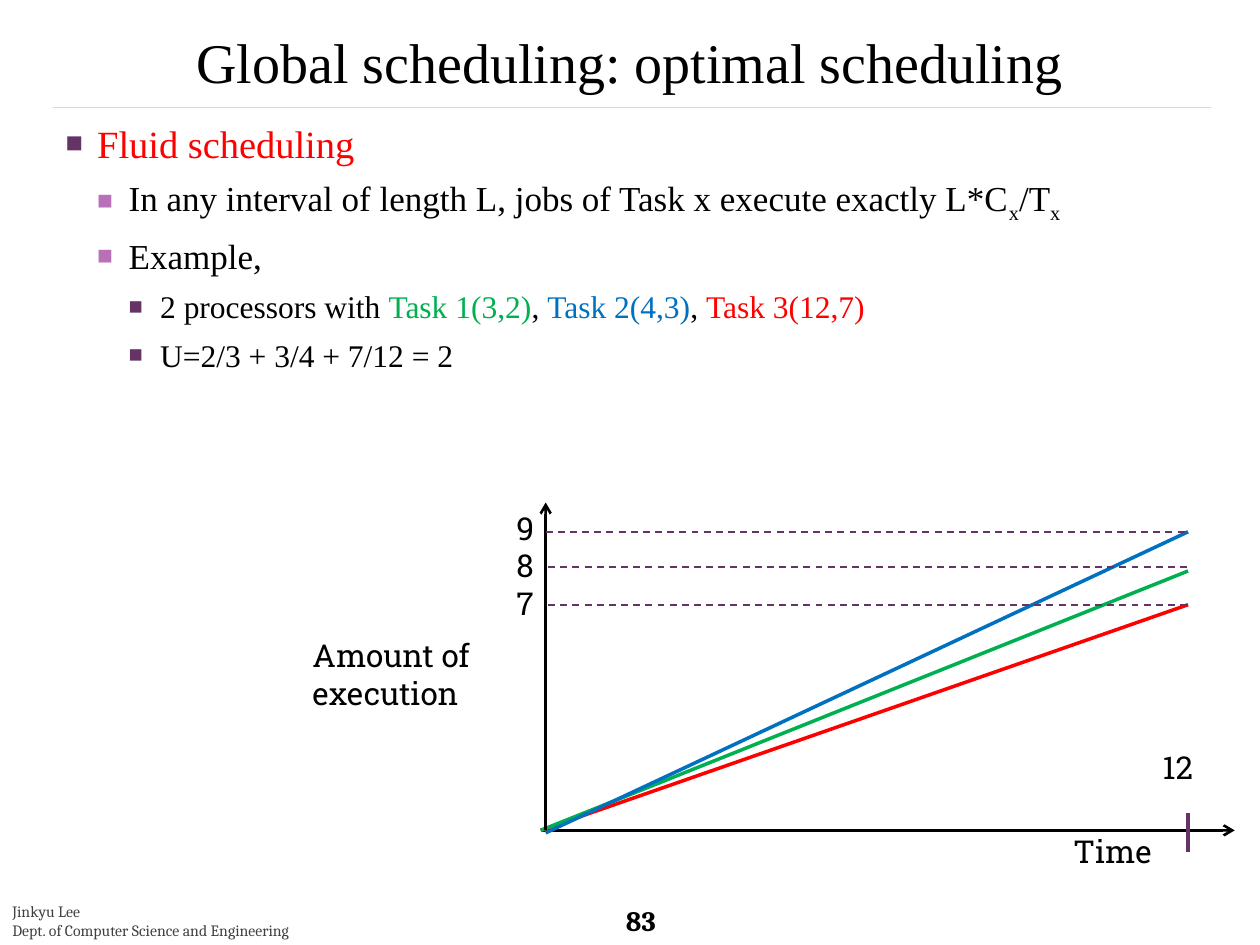
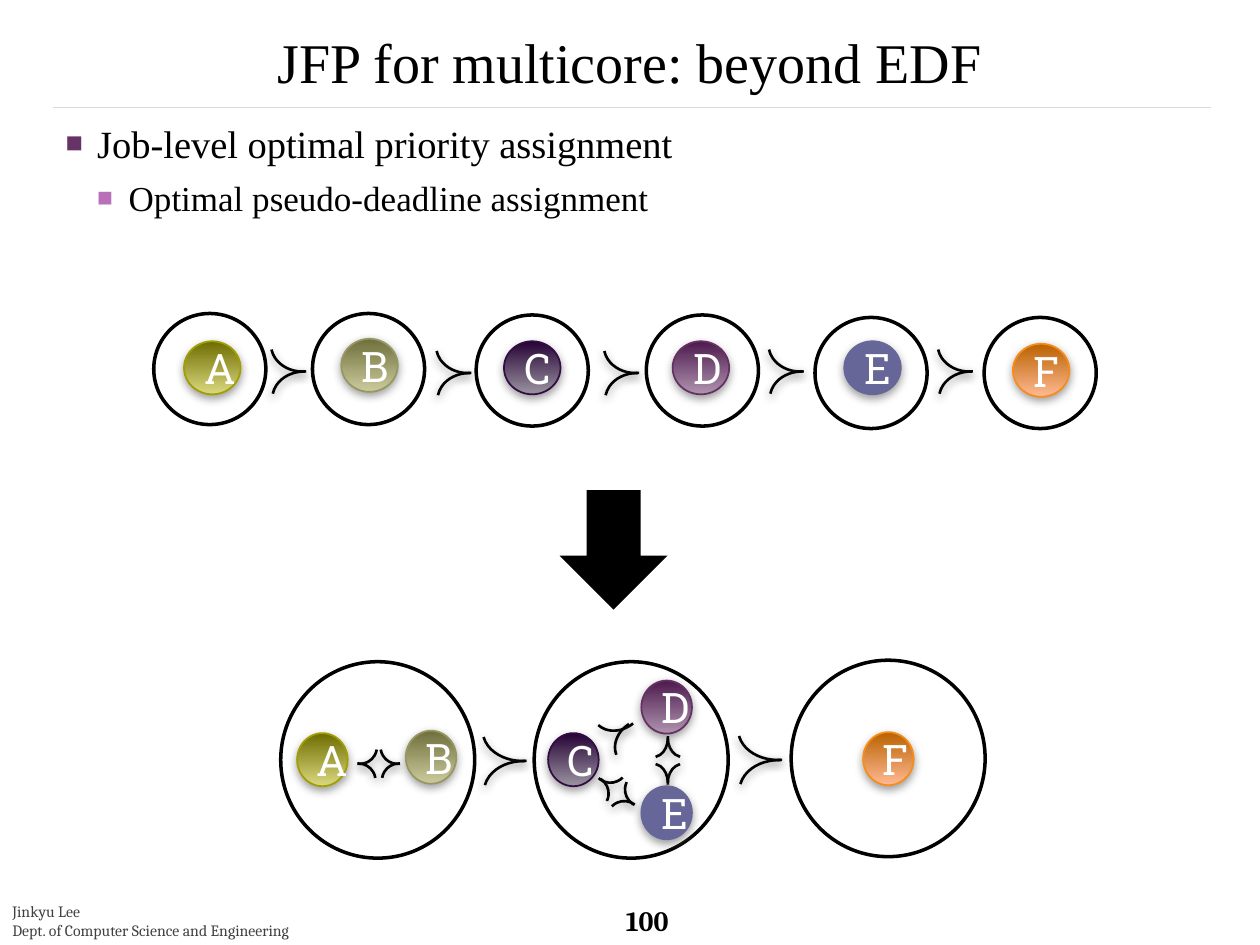
import lxml.etree
import pptx
import pptx.dml.color
import pptx.enum.dml
import pptx.enum.shapes
import pptx.enum.text
import pptx.util
from pptx.oxml.ns import qn
from pptx.util import Cm

BLACK, WHITE, GREY = "000000", "FFFFFF", "404040"
PLUM, ORCHID, RULE = "663366", "B870B8", "D9D9D9"
RED, GREEN, BLUE = "FF0000", "00B050", "0070C0"
SERIF, SLAB, FOOTER = "Times New Roman", "Roboto Slab", "Cambria"
SHAPE = pptx.enum.shapes.MSO_SHAPE
ANCHOR = pptx.enum.text.MSO_ANCHOR


def colour(code):
    return pptx.dml.color.RGBColor.from_string(code)


def add_line(page, start, end, code, width, dashed=False, arrow=False):
    line = page.shapes.add_connector(
        pptx.enum.shapes.MSO_CONNECTOR.STRAIGHT,
        Cm(start[0]), Cm(start[1]), Cm(end[0]), Cm(end[1]))
    line.line.color.rgb = colour(code)
    line.line.width = pptx.util.Pt(width)
    if dashed:
        line.line.dash_style = pptx.enum.dml.MSO_LINE.DASH
    properties = line._element.spPr
    if arrow:
        outline = properties.find(qn("a:ln"))
        lxml.etree.SubElement(outline, qn("a:tailEnd"), type="arrow")
    lxml.etree.SubElement(properties, qn("a:effectLst"))


deck = pptx.Presentation()
deck.slide_width = Cm(25.4)
deck.slide_height = Cm(19.05)

levels = [(22, 20, PLUM), (20, 6, ORCHID), (18, 6, PLUM)]
contents = [
    ("Global scheduling: optimal scheduling", "83", [
        (0, [("Fluid scheduling", RED, False)]),
        (1, [("In any interval of length L, jobs of Task x execute exactly L*C", BLACK, False),
             ("x", BLACK, True), ("/T", BLACK, False), ("x", BLACK, True)]),
        (1, [("Example,", BLACK, False)]),
        (2, [("2 processors with ", BLACK, False), ("Task 1(3,2)", GREEN, False),
             (", ", BLACK, False), ("Task 2(4,3)", BLUE, False),
             (", ", BLACK, False), ("Task 3(12,7)", RED, False)]),
        (2, [("U=2/3 + 3/4 + 7/12 = 2", BLACK, False)]),
    ], [
        ("12", 23.19, 14.96, 1.7, 1.04),
        ("9\n8\n7", 10.16, 10.13, 1.5, 2.57),
        ("Amount of execution", 6.05, 12.7, 4.5, 1.8),
        ("Time", 21.39, 16.64, 2.74, 1.02),
    ]),
    ("JFP for multicore: beyond EDF", "100", [
        (0, [("Job-level optimal priority assignment", BLACK, False)]),
        (1, [("Optimal pseudo-deadline assignment", BLACK, False)]),
    ], []),
]

pages = []
for heading, number, items, chart_labels in contents:
    page = deck.slides.add_slide(deck.slide_layouts[1])
    pages.append(page)
    add_line(page, (1.07, 2.16), (24.41, 2.16), RULE, 0.1)

    title, body = page.placeholders[0], page.placeholders[1]
    title.left, title.top, title.width, title.height = Cm(0), Cm(0.43), Cm(25.4), Cm(1.52)
    title.text_frame.auto_size = pptx.enum.text.MSO_AUTO_SIZE.NONE
    title.text_frame.vertical_anchor = ANCHOR.BOTTOM
    title.text_frame.margin_bottom = Cm(0.04)
    title.text_frame.text = heading
    para = title.text_frame.paragraphs[0]
    para.alignment = pptx.enum.text.PP_ALIGN.CENTER
    para.font.name = SERIF
    para.font.size = pptx.util.Pt(32)
    para.font.color.rgb = colour(BLACK)

    body.left, body.top, body.width, body.height = Cm(1.07), Cm(2.29), Cm(23.34), Cm(16.36)
    body.text_frame.auto_size = pptx.enum.text.MSO_AUTO_SIZE.NONE
    for index, (level, spans) in enumerate(items):
        para = body.text_frame.paragraphs[0] if index == 0 else body.text_frame.add_paragraph()
        size, before, bullet_code = levels[level]
        para.level = level
        para.space_before = pptx.util.Pt(before)
        properties = para._p.get_or_add_pPr()
        properties.set("marL", str(Cm(0.635 * (level + 1))))
        properties.set("indent", str(-Cm(0.635)))
        bullet = lxml.etree.SubElement(properties, qn("a:buClr"))
        lxml.etree.SubElement(bullet, qn("a:srgbClr"), val=bullet_code)
        lxml.etree.SubElement(properties, qn("a:buSzPct"), val="75000")
        lxml.etree.SubElement(properties, qn("a:buChar"), char="■")
        para.font.name = SERIF
        para.font.size = pptx.util.Pt(size)
        for text, code, subscript in spans:
            span = para.add_run()
            span.text = text
            span.font.color.rgb = colour(code)
            if subscript:
                span._r.get_or_add_rPr().set("baseline", "-25000")

    labels = [label + (SLAB, 18, BLACK, False, ANCHOR.TOP) for label in chart_labels]
    labels += [
        (number, 12.37, 18.16, 1.68, 0.79, FOOTER, 16, BLACK, True, ANCHOR.MIDDLE),
        ("Jinkyu Lee\nDept. of Computer Science and Engineering",
         0, 18.06, 7.01, 1.02, FOOTER, 9, GREY, False, ANCHOR.TOP),
    ]
    for text, left, top, width, height, font, size, code, bold, anchor in labels:
        box = page.shapes.add_textbox(Cm(left), Cm(top), Cm(width), Cm(height))
        box.text_frame.word_wrap = True
        box.text_frame.vertical_anchor = anchor
        box.text_frame.text = text
        for para in box.text_frame.paragraphs:
            para.font.name = font
            para.font.size = pptx.util.Pt(size)
            para.font.bold = bold
            para.font.color.rgb = colour(code)

fluid_page, priority_page = pages

add_line(fluid_page, (10.9, 16.74), (24.89, 16.74), BLACK, 1.5, arrow=True)
for start, end_top, code in [((10.9, 16.74), 12.19, RED),
                             ((10.9, 16.74), 11.51, GREEN),
                             ((11, 16.79), 10.72, BLUE)]:
    add_line(fluid_page, start, (23.95, end_top), code, 2)
add_line(fluid_page, (23.95, 16.38), (23.95, 17.17), PLUM, 2)
add_line(fluid_page, (11, 16.74), (11, 10.13), BLACK, 1.5, arrow=True)
for left, top in [(11, 10.72), (11.05, 11.43), (11.05, 12.19)]:
    add_line(fluid_page, (left, top), (left + 12.95, top), PLUM, 1, dashed=True)

rings = [(left, top, 2.26, 2.24) for left, top in [
    (3.1, 6.32), (6.3, 6.32), (9.6, 6.35), (13.03, 6.35), (16.43, 6.4), (19.84, 6.4)]]
rings += [(left, top, 3.91, 3.96) for left, top in [
    (5.66, 13.34), (10.77, 13.34), (15.95, 13.31)]]
for left, top, width, height in rings:
    ring = priority_page.shapes.add_shape(
        SHAPE.OVAL, Cm(left), Cm(top), Cm(width), Cm(height))
    ring.shadow.inherit = False
    ring.fill.background()
    ring.line.color.rgb = colour(BLACK)
    ring.line.width = pptx.util.Pt(2)

job_colours = {
    "A": ("6E6D00", "DBD980", "A09E00"),
    "B": ("6F6F3C", "CBCB9D", "979763"),
    "C": ("260235", "9B94A1", "320D42"),
    "D": ("4D1A4D", "AF94AF", "653165"),
    "E": ("666699", "666699", "666699"),
    "F": ("BA6200", "FFB993", "F78D18"),
}
jobs = [(name, left, top, 1.14) for name, left, top in [
    ("A", 3.71, 6.88), ("B", 6.88, 6.83), ("C", 10.16, 6.88),
    ("D", 13.56, 6.88), ("E", 17.02, 6.88), ("F", 20.42, 6.93)]]
jobs += [(name, left, top, 1.02) for name, left, top in [
    ("A", 5.99, 14.78), ("B", 8.18, 14.73), ("C", 11.05, 14.78),
    ("D", 12.93, 13.72), ("E", 12.93, 15.85), ("F", 17.4, 14.76)]]
shaded = []
for name, left, top, width in jobs:
    job = priority_page.shapes.add_shape(
        SHAPE.OVAL, Cm(left), Cm(top), Cm(width), Cm(1.07))
    upper_code, lower_code, line_code = job_colours[name]
    if upper_code == lower_code:
        job.fill.solid()
        job.fill.fore_color.rgb = colour(upper_code)
    else:
        job.fill.gradient()
        job.fill.gradient_angle = 270
        for stop, code in zip(job.fill.gradient_stops, (upper_code, lower_code)):
            stop.color.rgb = colour(code)
    job.line.color.rgb = colour(line_code)
    job.line.width = pptx.util.Pt(1)
    job.text_frame.text = name
    para = job.text_frame.paragraphs[0]
    para.alignment = pptx.enum.text.PP_ALIGN.CENTER
    para.font.name = SLAB
    para.font.size = pptx.util.Pt(24)
    para.font.color.rgb = colour(WHITE)
    shaded.append(job)

marks = [((left, top), (left + 0.03, top + 1.09), (1.27, 1.09), 180, False)
         for left, top in [(5.46, 6.4), (8.79, 6.43), (12.17, 6.43), (15.49, 6.4), (18.9, 6.4)]]
marks += [((left, top), (left + 0.03, top + 1.22), (1.6, 1.22), 180, False)
          for left, top in [(9.73, 14.12), (14.88, 14.1)]]
marks += [
    ((11.91, 13.79), (12.37, 14.53), (1.09, 0.91), 145.9, False),
    ((13.39, 15.47), (12.78, 15.47), (0.76, 0.61), 270, False),
    ((13.39, 14.58), (12.78, 14.58), (0.76, 0.61), 270, True),
    ((12.6, 15.57), (12.24, 16.15), (0.69, 0.69), 214.8, False),
    ((11.96, 15.09), (11.58, 15.65), (0.69, 0.69), 214.8, True),
    ((7.67, 14.71), (7.7, 15.39), (0.69, 0.69), 180, False),
    ((6.91, 14.71), (6.88, 15.39), (0.69, 0.69), 180, True),
]
for first, second, (width, height), rotation, mirrored in marks:
    for (left, top), bounds, flipped in [(first, (157.13, 210.49), mirrored),
                                         (second, (52.26, 102.59), not mirrored)]:
        arc = priority_page.shapes.add_shape(
            SHAPE.ARC, Cm(left), Cm(top), Cm(width), Cm(height))
        for index, bound in enumerate(bounds):
            arc.adjustments[index] = bound
        arc.rotation = rotation
        if flipped:
            arc._element.spPr.find(qn("a:xfrm")).set("flipH", "1")
        arc.fill.background()
        arc.line.color.rgb = colour(BLACK)
        arc.line.width = pptx.util.Pt(1.5)
        shaded.append(arc)

for shape in shaded:
    shape.shadow.inherit = False
    effects = shape._element.spPr.find(qn("a:effectLst"))
    shadow = lxml.etree.SubElement(
        effects, qn("a:outerShdw"), blurRad=str(pptx.util.Pt(5)),
        dist=str(pptx.util.Pt(2)), dir="5400000", rotWithShape="0")
    tint = lxml.etree.SubElement(shadow, qn("a:srgbClr"), val="808080")
    lxml.etree.SubElement(tint, qn("a:alpha"), val="75000")

arrow = priority_page.shapes.add_shape(
    SHAPE.DOWN_ARROW, Cm(11.28), Cm(9.88), Cm(2.18), Cm(2.41))
arrow.shadow.inherit = False
arrow.fill.solid()
arrow.fill.fore_color.rgb = colour(BLACK)
arrow.line.fill.background()

deck.save("out.pptx")
